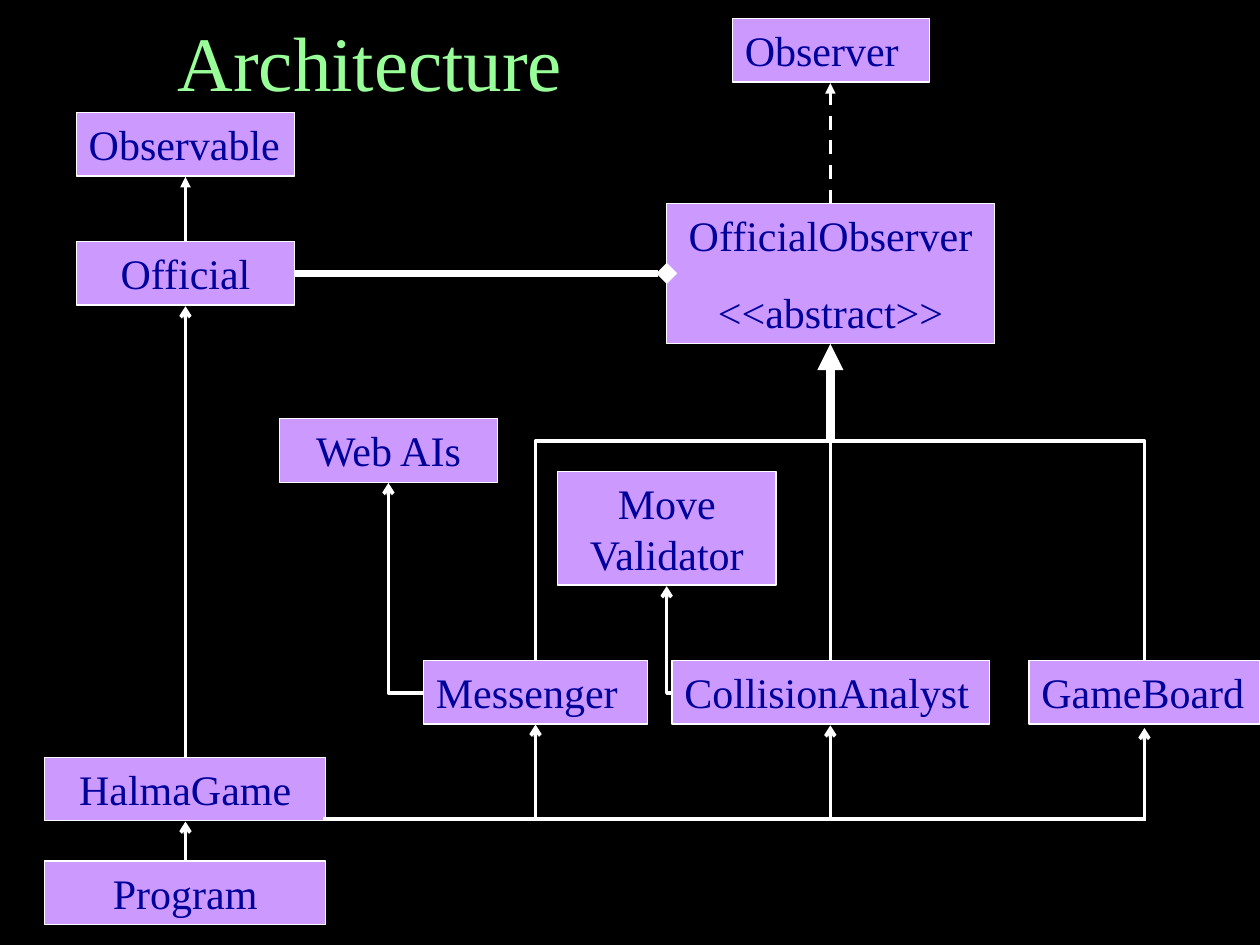
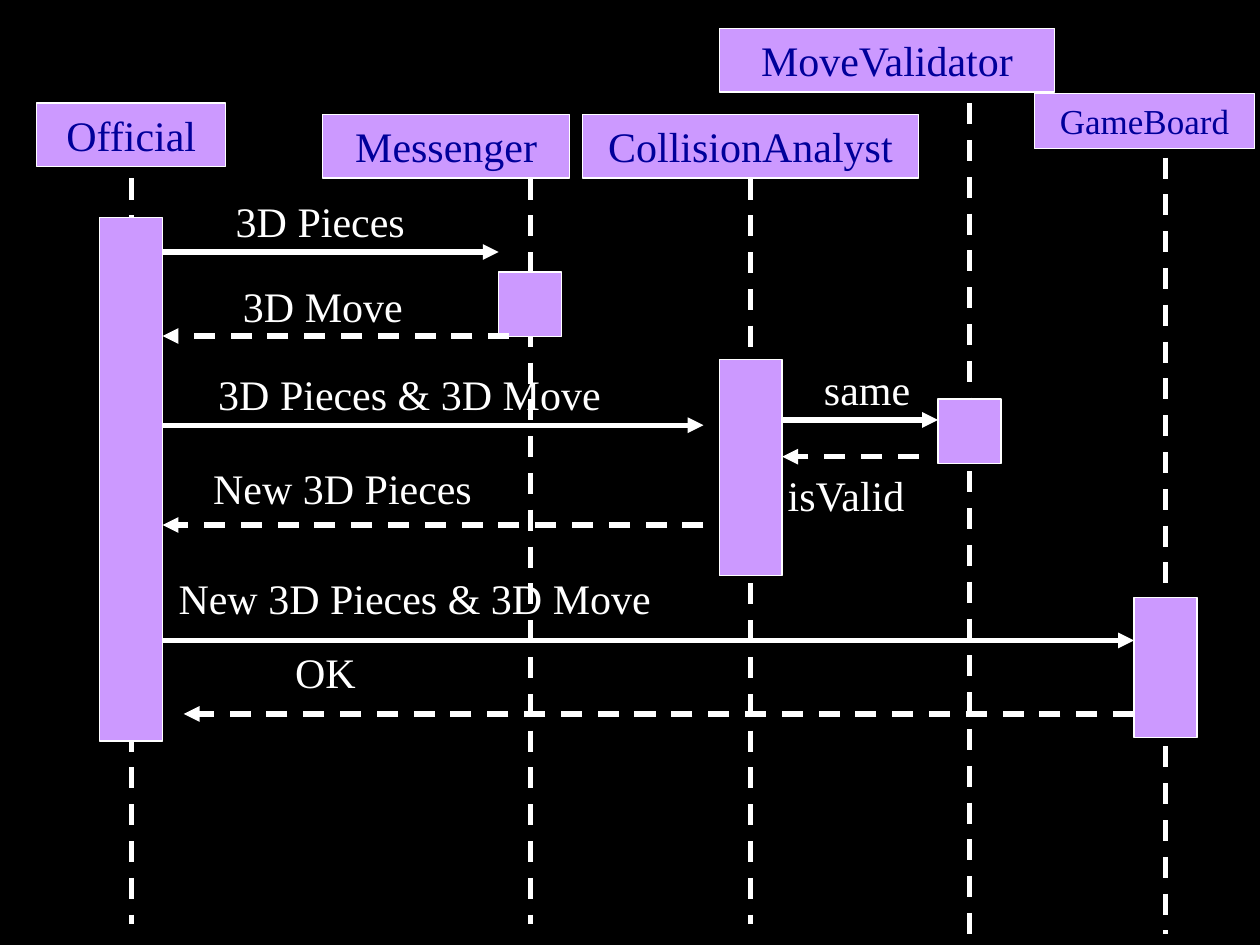
"""Build two UML slides: the class architecture and the move sequence."""
from lxml import etree
from pptx import Presentation
from pptx import util as u
from pptx.dml import color
from pptx.enum import dml, shapes, text
from pptx.oxml import ns

FONT = "Times New Roman"
BLACK, WHITE, LILAC, NAVY, GREEN = "000000", "FFFFFF", "CC99FF", "00009A", "99FF99"
LEFT, CENTER = text.PP_ALIGN.LEFT, text.PP_ALIGN.CENTER
ROW = 36.4
rgb = color.RGBColor.from_string


def add_text(slide, words, left, top, width, height=ROW, fill=None, ink=WHITE,
             size=24, align=CENTER, anchor=text.MSO_ANCHOR.TOP):
    frame_size = [u.Pt(value) for value in (left, top, width, height)]
    if fill:
        shape = slide.shapes.add_shape(shapes.MSO_SHAPE.RECTANGLE, *frame_size)
        shape.shadow.inherit = False
        shape.fill.solid()
        shape.fill.fore_color.rgb = rgb(fill)
        shape.line.color.rgb = rgb(WHITE)
        shape.line.width = u.Pt(0.75)
    else:
        shape = slide.shapes.add_textbox(*frame_size)
    frame = shape.text_frame
    frame.word_wrap = True
    frame.vertical_anchor = anchor
    frame.text = words
    for index, paragraph in enumerate(frame.paragraphs):
        paragraph.alignment = align
        paragraph.space_before = u.Pt(15 if index else 0)
        paragraph.font.name = FONT
        paragraph.font.size = u.Pt(size)
        paragraph.font.color.rgb = rgb(ink)


def add_line(slide, x1, y1, x2, y2, width=2, tip=None, dashed=False, bent=False):
    kind = shapes.MSO_CONNECTOR.ELBOW if bent else shapes.MSO_CONNECTOR.STRAIGHT
    connector = slide.shapes.add_connector(kind, *[u.Pt(value) for value in (x1, y1, x2, y2)])
    connector.line.color.rgb = rgb(WHITE)
    connector.line.width = u.Pt(width)
    properties = connector.element.spPr
    if bent:
        properties.find(ns.qn("a:prstGeom")).set("prst", "bentConnector2")
    if dashed:
        connector.line.dash_style = dml.MSO_LINE.DASH
    if tip:
        etree.SubElement(properties.find(ns.qn("a:ln")), ns.qn("a:tailEnd"), type=tip)
    etree.SubElement(properties, ns.qn("a:effectLst"))


presentation = Presentation()
presentation.slide_width, presentation.slide_height = u.Pt(720), u.Pt(540)
architecture, sequence = [
    presentation.slides.add_slide(presentation.slide_layouts[6]) for _ in range(2)]
for slide in (architecture, sequence):
    slide.background.fill.solid()
    slide.background.fill.fore_color.rgb = rgb(BLACK)

add_text(architecture, "Architecture", 94.5, 10.5, 316, 54, ink=GREEN, size=44,
         align=LEFT, anchor=text.MSO_ANCHOR.BOTTOM)

CLASS_TOP = 377.4
for name, left, top, width, height, align in [
    ("Observer", 418.5, 10.5, 112.5, ROW, LEFT),
    ("OfficialObserver\n<<abstract>>", 381, 116.4, 187.3, 80, CENTER),
    ("Messenger", 242, CLASS_TOP, 128, ROW, LEFT),
    ("CollisionAnalyst", 384, CLASS_TOP, 181.5, ROW, LEFT),
    ("GameBoard", 588, CLASS_TOP, 132, ROW, LEFT),
    ("Observable", 43.6, 64.3, 124.8, ROW, LEFT),
    ("Official", 43.6, 138, 124.8, ROW, CENTER),
    ("HalmaGame", 25.6, 432.7, 160.5, ROW, CENTER),
    ("Program", 25.6, 492, 160.5, ROW, CENTER),
    ("Web AIs", 159.6, 239.2, 124.8, ROW, CENTER),
    ("Move Validator", 318.6, 269.5, 124.8, 64.8, CENTER),
]:
    add_text(architecture, name, left, top, width, height, LILAC, NAVY, align=align)

OFFICIAL_X, MESSENGER_X, ANALYST_X, BOARD_X = 106, 306, 474.5, 654
BRANCH_Y, GAME_Y = 252, 468
add_line(architecture, ANALYST_X, 116.4, ANALYST_X, 47.5, tip="triangle", dashed=True)
add_line(architecture, ANALYST_X, CLASS_TOP, ANALYST_X, BRANCH_Y)
add_line(architecture, ANALYST_X, BRANCH_Y, ANALYST_X, 196.5, width=5, tip="triangle")
add_line(architecture, 168, 156.2, 381, 156.2, width=4, tip="diamond")
for x in (MESSENGER_X, BOARD_X):
    add_line(architecture, ANALYST_X, BRANCH_Y, x, CLASS_TOP, bent=True)
for x, tip_y in [(MESSENGER_X, 414), (ANALYST_X, 414.5), (BOARD_X, 416)]:
    add_line(architecture, x, GAME_Y + 1, x, tip_y, tip="arrow")
add_line(architecture, BOARD_X, GAME_Y, 184.5, GAME_Y)
for start_y, end_y, tip in [(138, 101, "triangle"), (432.7, 175, "arrow"), (492, 469.5, "arrow")]:
    add_line(architecture, OFFICIAL_X, start_y, OFFICIAL_X, end_y, tip=tip)
add_line(architecture, 242, 396, 222, 276, tip="arrow", bent=True)
add_line(architecture, 384, 396, 381, 335, tip="arrow", bent=True)

BAR_WIDTH = 36
for x, top, bottom, bar_top, bar_height in [
    (75, 102, 528, 124.5, 299),
    (303, 102, 528, 155.5, 36.7),
    (429, 102, 528, 205.4, 123.5),
    (554, 59, 534, 228, 36.7),
    (666, 90, 534, 341.5, 80),
]:
    add_line(sequence, x, top, x, bottom, width=3, dashed=True)
    add_text(sequence, "", x - BAR_WIDTH / 2, bar_top, BAR_WIDTH, bar_height, LILAC)

for name, left, top, width, height, size in [
    ("GameBoard", 591, 53.4, 126, 31.5, 20),
    ("CollisionAnalyst", 333, 65.3, 191.8, ROW, 24),
    ("Messenger", 184.5, 65.3, 141, ROW, 24),
    ("Official", 21, 58.9, 108, ROW, 24),
    ("MoveValidator", 411, 16.3, 191.8, ROW, 24),
]:
    add_text(sequence, name, left, top, width, height, LILAC, NAVY, size)

for words, left, top, width, start_x, end_x, y in [
    ("3D Pieces", 111, 108, 144, 93, 285, 144),
    ("3D Move", 112.5, 156.5, 144, 291, 93, 192),
    ("3D Pieces & 3D Move", 105, 207, 258, 93, 402, 243),
    ("same", 443, 204, 105, 447, 536, 240),
    ("isValid", 431, 264.7, 105, 525, 447, 261),
    ("New 3D Pieces", 112.5, 261, 166.5, 402, 93, 300),
    ("New 3D Pieces & 3D Move", 93, 323.5, 288, 93, 648, 366),
    ("OK", 105, 366, 162, 648, 105, 408),
]:
    add_line(sequence, start_x, y, end_x, y, width=3, tip="triangle", dashed=end_x < start_x)
    add_text(sequence, words, left, top, width)

presentation.save("out.pptx")
